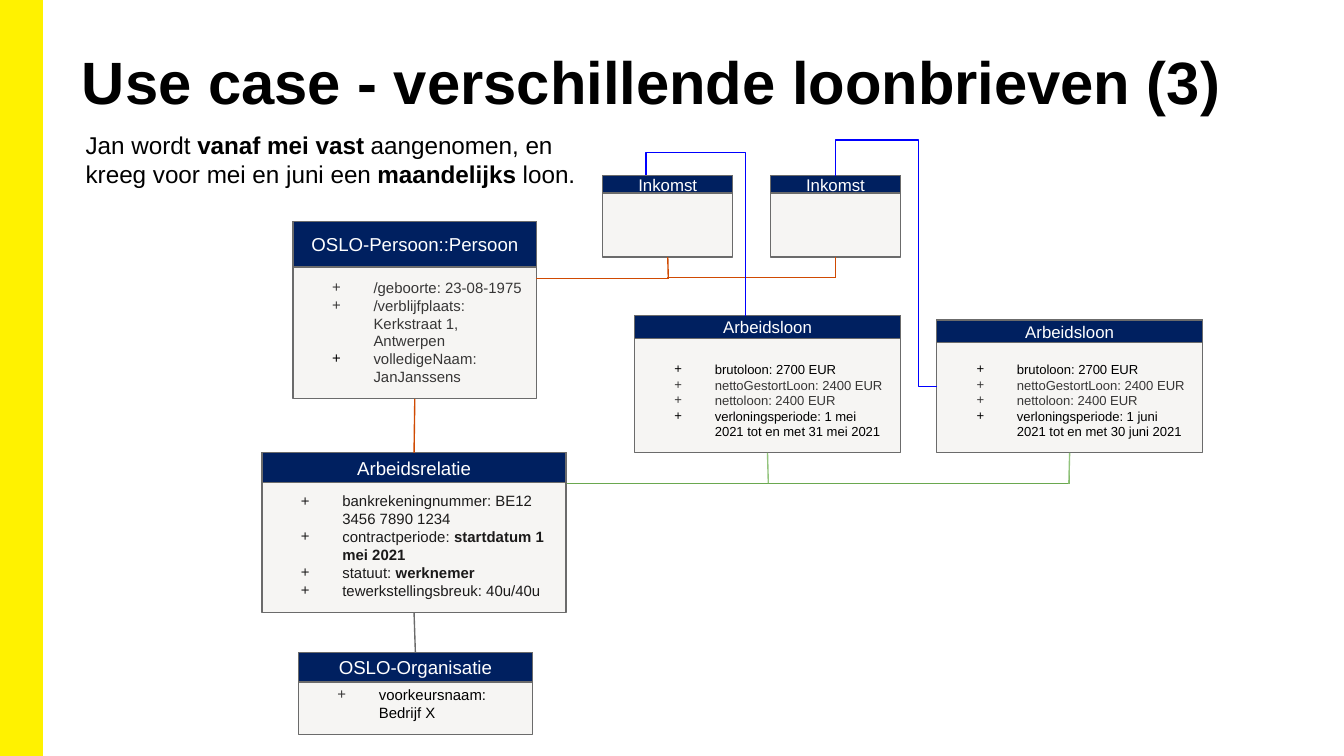
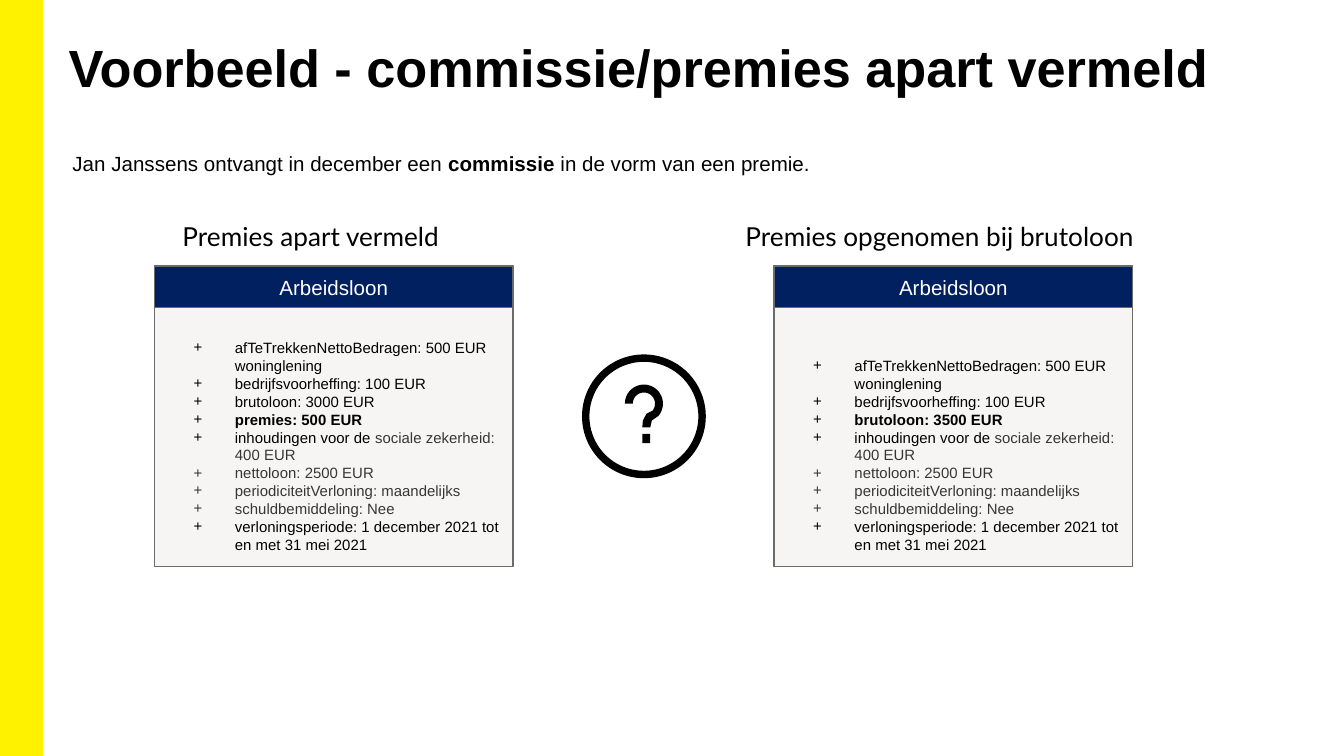
"""Build two slides on pay slips: a class diagram and a comparison of two ways to record a bonus."""
import math

from lxml import etree
from pptx import Presentation, util as u
from pptx.dml.color import RGBColor
from pptx.enum import shapes, text
from pptx.oxml import ns

COLOURS = {
    "black": "000000", "white": "FFFFFF", "yellow": "FFF200", "navy": "002060",
    "paper": "F6F5F3", "border": "6B6B6B", "grey": "373636", "ink": "1B1A1A",
    "orange": "D04A02", "green": "6AA84F", "light green": "93C47D", "blue": "0000FF",
}
TOP, BOTTOM = 0, 2


def colour(name):
    return RGBColor.from_string(COLOURS[name])


def apply(target, values):
    for name, value in values.items():
        setattr(target, name, value)


def item(bullet, *runs):
    return {"bullet": bullet, "runs": runs}


def plain(name, *lines):
    return [item(name, (line, name)) for line in lines]


class Deck:
    """Holds the style and the current slide."""

    def __init__(self):
        self.presentation = Presentation()
        apply(self.presentation, {"slide_width": u.Cm(25.4), "slide_height": u.Cm(14.29)})
        self.slide = None

    def start_slide(self, title, left, top, width, size):
        self.slide = self.presentation.slides.add_slide(self.presentation.slide_layouts[6])
        self.box("yellow", "yellow", 0, 0, 0.8, 14.29)
        self.label([(title, "black", True)], left, top, width, 1.47, size, inset=(0.18, 0.1))

    def paint(self, shape, fill, line=None):
        shape.shadow.inherit = False
        shape.fill.solid()
        shape.fill.fore_color.rgb = colour(fill)
        if line:
            shape.line.color.rgb = colour(line)
            shape.line.width = u.Pt(0.75)
        else:
            shape.line.fill.background()

    def box(self, fill, line, *frame, kind=shapes.MSO_SHAPE.RECTANGLE):
        shape = self.slide.shapes.add_shape(kind, *map(u.Cm, frame))
        self.paint(shape, fill, line)
        return shape

    def fill_text(self, shape, paragraphs, size, font="Arial", anchor="TOP", align="LEFT", inset=(0.25, 0.25)):
        frame = shape.text_frame
        across, down = map(u.Cm, inset)
        apply(frame, {
            "word_wrap": True, "vertical_anchor": getattr(text.MSO_ANCHOR, anchor),
            "margin_left": across, "margin_right": across, "margin_top": down, "margin_bottom": down,
        })
        for index, content in enumerate(paragraphs):
            paragraph = frame.add_paragraph() if index else frame.paragraphs[0]
            paragraph.alignment = getattr(text.PP_ALIGN, align)
            if content["bullet"]:
                self.bullet(paragraph, content["bullet"], size)
            for words, name, *bold in content["runs"]:
                run = paragraph.add_run()
                run.text = words
                apply(run.font, {"name": font, "size": u.Pt(size), "bold": bool(bold)})
                run.font.color.rgb = colour(name)

    def bullet(self, paragraph, name, size):
        properties = paragraph._p.get_or_add_pPr()
        properties.set("marL", str(u.Cm(1.27)))
        properties.set("indent", str(-u.Cm(0.64) - u.Pt(size / 2)))
        holder = etree.SubElement(properties, ns.qn("a:buClr"))
        etree.SubElement(holder, ns.qn("a:srgbClr"), val=COLOURS[name])
        etree.SubElement(properties, ns.qn("a:buFont"), typeface="Arial")
        etree.SubElement(properties, ns.qn("a:buChar"), char="+")

    def label(self, runs, left, top, width, height, size, **style):
        shape = self.slide.shapes.add_textbox(*map(u.Cm, (left, top, width, height)))
        self.fill_text(shape, [item(None, *runs)], size, **style)

    def card(self, title, items, frame, header_height, title_size, size=8):
        body = self.box("paper", "border", *frame)
        self.fill_text(body, items, size, anchor="BOTTOM")
        header = self.box("navy", "border", *frame[:3], header_height)
        self.fill_text(header, [item(None, (title, "white"))], title_size, anchor="MIDDLE", align="CENTER")
        return header, body

    def connector(self, kind, name, *ends):
        connector = self.slide.shapes.add_connector(kind, *map(u.Cm, ends))
        connector.line.color.rgb = colour(name)
        connector.line.width = u.Pt(0.75)
        etree.SubElement(connector._element.spPr, ns.qn("a:effectLst"))
        return connector

    def link(self, name, source, target):
        connector = self.connector(shapes.MSO_CONNECTOR.STRAIGHT, name, 0, 0, 1, 1)
        connector.begin_connect(source, BOTTOM)
        connector.end_connect(target, TOP)

    def drop(self, name, source, x, y):
        connector = self.connector(shapes.MSO_CONNECTOR.STRAIGHT, name, 0, 0, x, y)
        connector.begin_connect(source, BOTTOM)

    def elbow(self, name, frame, preset, turn, flip, *bends):
        left, top, width, height = frame
        connector = self.connector(shapes.MSO_CONNECTOR.ELBOW, name, left, top, left + width, top + height)
        properties = connector._element.spPr
        transform = properties.find(ns.qn("a:xfrm"))
        transform.set("rot", str(turn * 60000))
        if flip:
            transform.set("flipH", "1")
        geometry = properties.find(ns.qn("a:prstGeom"))
        geometry.set("prst", preset)
        guides = geometry.find(ns.qn("a:avLst"))
        for number, bend in enumerate(bends, 1):
            etree.SubElement(guides, ns.qn("a:gd"), name=f"adj{number}", fmla=f"val {round(bend * 100000)}")

    def question_mark(self):
        ring = self.box("black", None, 11, 6.7, 2.34, 2.34, kind=shapes.MSO_SHAPE.DONUT)
        ring.adjustments[0] = 0.06

        def arc(radius, angles):
            return [(12.17 + radius * math.cos(math.radians(angle)),
                     7.63 - radius * math.sin(math.radians(angle))) for angle in angles]

        stem = [(12.32, 7.95), (12.29, 8.08), (12.14, 8.08), (12.15, 7.95), (12.22, 7.82)]
        outline = arc(0.36, range(180, -41, -10)) + stem + arc(0.21, range(-40, 181, 10))
        points = [(round(x * 1000), round(y * 1000)) for x, y in outline]
        builder = self.slide.shapes.build_freeform(*points[0], scale=u.Cm(1) / 1000)
        builder.add_line_segments(points[1:])
        self.paint(builder.convert_to_shape(), "black")
        self.box("black", None, 12.14, 8.2, 0.15, 0.18)


def monthly_wage(period):
    return [
        *plain("black", "brutoloon: 2700 EUR"),
        *plain("grey", "nettoGestortLoon: 2400 EUR", "nettoloon: 2400 EUR"),
        *plain("black", f"verloningsperiode: {period}"),
    ]


def december_wage(*gross):
    return [
        *plain("black", "afTeTrekkenNettoBedragen: 500 EUR woninglening", "bedrijfsvoorheffing: 100 EUR"),
        *gross,
        item("black", ("inhoudingen voor de ", "black"), ("sociale zekerheid: 400 EUR", "grey")),
        *plain("grey", "nettoloon: 2500 EUR", "periodiciteitVerloning: maandelijks", "schuldbemiddeling: Nee"),
        *plain("black", "verloningsperiode: 1 december 2021 tot en met 31 mei 2021"),
    ]


def build_use_case(deck):
    deck.start_slide("Use case - verschillende loonbrieven (3)", 1.37, 0.74, 22.07, 32)
    deck.label([("Jan wordt ", "black"), ("vanaf mei vast ", "black", True),
                ("aangenomen, en kreeg voor mei en juni een ", "black"),
                ("maandelijks", "black", True), (" loon.", "black")], 1.37, 2.21, 9.86, 1.63, 13)

    person = [*plain("grey", "/geboorte: 23-08-1975", "/verblijfplaats: Kerkstraat 1, Antwerpen"),
              item("black", ("volledigeNaam: JanJanssens", "grey"))]
    relation = [*plain("ink", "bankrekeningnummer: BE12 3456 7890 1234"),
                item("ink", ("contractperiode: ", "ink"), ("startdatum 1 mei 2021", "ink", True)),
                item("ink", ("statuut: ", "ink"), ("werknemer", "ink", True)),
                *plain("ink", "tewerkstellingsbreuk: 40u/40u")]
    organisation = [item("grey", ("voorkeursnaam: Bedrijf X", "black"))]

    _, person_body = deck.card("OSLO-Persoon::Persoon", person, (5.54, 4.19, 4.6, 3.35), 0.86, 10)
    relation_header, relation_body = deck.card("Arbeidsrelatie", relation, (4.95, 8.56, 5.75, 3.02), 0.56, 10)
    organisation_header, _ = deck.card("OSLO-Organisatie", organisation, (5.64, 12.33, 4.42, 1.55), 0.56, 10)
    _, may_wage = deck.card("Arbeidsloon", monthly_wage("1 mei 2021 tot en met 31 mei 2021"),
                            (11.99, 5.97, 5.03, 2.59), 0.43, 9, 7)
    _, june_wage = deck.card("Arbeidsloon", monthly_wage("1 juni 2021 tot en met 30 juni 2021"),
                             (17.7, 6.05, 5.03, 2.51), 0.43, 9, 7)
    may_income, june_income = [deck.card("Inkomst", [], (left, 3.32, 2.46, 1.54), 0.33, 9)[1]
                               for left in (11.39, 14.56)]

    deck.link("border", relation_body, organisation_header)
    deck.link("orange", person_body, relation_header)
    deck.elbow("green", (10.72, 8.56, 9.49, 0.58), "bentConnector2", 180, True)
    deck.drop("light green", may_wage, 14.52, 9.13)
    deck.drop("light green", june_wage, 20.2, 9.14)
    deck.elbow("orange", (10.14, 5.24, 5.65, 0.03), "bentConnector3", 180, True, 0.44)
    deck.drop("orange", may_income, 12.63, 5.27)
    deck.drop("orange", june_income, 15.79, 5.25)
    deck.elbow("blue", (15.79, 3.32, 1.91, 3.98), "bentConnector4", 180, False, 0.18, 1.17)
    deck.elbow("blue", (11.82, 3.7, 2.66, 1.88), "bentConnector3", 90, True, 1.16)


def build_bonus_example(deck):
    deck.start_slide("Voorbeeld - commissie/premies apart vermeld", 1.12, 0.56, 23.14, 28)
    deck.label([("Jan Janssens ontvangt in december een ", "black"), ("commissie ", "black", True),
                ("in de vorm van een premie.", "black")], 1.12, 2.62, 17.75, 0.99, 11)

    separate = [*plain("black", "brutoloon: 3000 EUR"), item("black", ("premies: 500 EUR", "black", True))]
    included = [item("black", ("brutoloon: 3500 EUR", "black", True))]
    for left, gross in ((2.92, separate), (14.63, included)):
        deck.card("Arbeidsloon", december_wage(*gross), (left, 5.03, 6.78, 5.68), 0.79, 11)
    for caption, left, width in (("Premies apart vermeld", 3.2, 6.78),
                                 ("Premies opgenomen bij brutoloon", 13.84, 8.99)):
        deck.label([(caption, "black")], left, 3.91, width, 1.12, 14, font="Lato")
    deck.question_mark()


def main():
    deck = Deck()
    build_use_case(deck)
    build_bonus_example(deck)
    deck.presentation.save("out.pptx")


if __name__ == "__main__":
    main()
